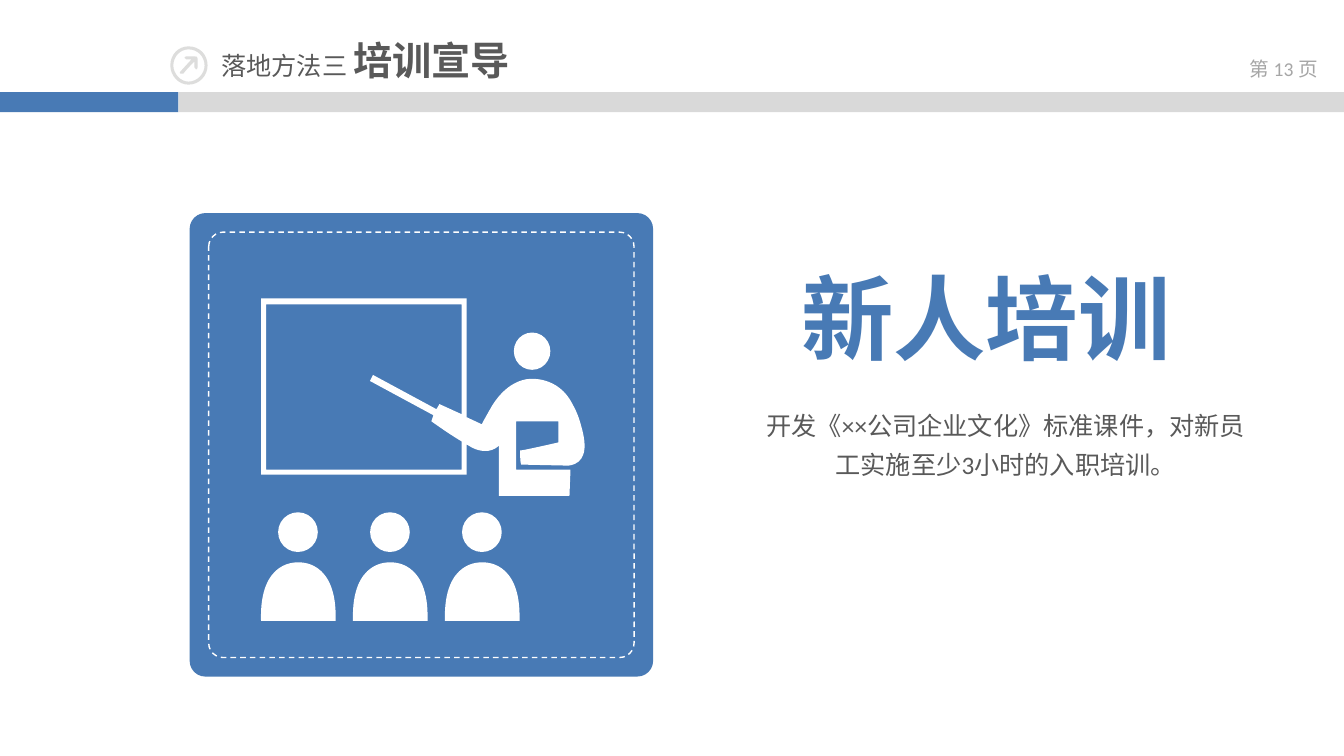
import lxml.etree
import pptx
import pptx.dml.color
import pptx.enum.dml
import pptx.enum.shapes
import pptx.enum.text
import pptx.oxml.ns
import pptx.util
from pptx.util import Cm

THEME = {
    "blue": "487AB5", "bar": "D9D9D9", "icon": "DDDDDC", "white": "FFFFFF",
    "text": "595959", "muted": "A6A6A6",
    "latin": "Calibri", "cjk": "Noto Sans CJK SC",
    "page": 14, "body": 18, "title": 28, "headline": 66,
}

# Content: runs are (text, size, bold, font)
PAGE_NUMBER = [("第 ", "page", False, "cjk"), ("13 ", "page", False, "latin"),
               ("页", "page", False, "cjk")]
TITLE = [("落地方法三 ", "body", False, "latin"), ("培训宣导", "title", True, "latin")]
HEADLINE = [("新人培训", "headline", True, "latin")]
BODY = [("开发《××公司企业文化》标准课件，对新员工实施至少3小时的入职培训。",
         "body", False, "latin")]

# Outlines in hundredths of an inch: two numbers make a line, six a Bezier curve
UNIT = Cm(0.0254)
RING = [
    [(187, 46), (198, 46, 206, 54, 206, 65), (206, 75, 198, 84, 187, 84),
     (177, 84, 169, 75, 169, 65), (169, 54, 177, 46, 187, 46)],
    [(187, 49), (196, 49, 203, 56, 203, 65), (203, 73, 196, 81, 187, 81),
     (179, 81, 172, 73, 172, 65), (172, 56, 179, 49, 187, 49)],
]
ARROW = [[(182, 73), (185, 69, 189, 65, 193, 61), (193, 67),
          (193, 69, 196, 70, 196, 67), (196, 58), (196, 56, 195, 56, 193, 56),
          (185, 56), (182, 56, 183, 59, 185, 59), (190, 59), (179, 71),
          (177, 73, 180, 74, 182, 73)]]
LISTENER = [[(333, 616), (335, 554, 296, 558, 296, 558),
             (296, 558, 257, 554, 259, 616)]]
TEACHER = [
    [(516, 447), (516, 450, 516, 458, 517, 461), (564, 462),
     (572, 461, 585, 456, 578, 428), (575, 416, 573, 410, 568, 401),
     (554, 373, 526, 376, 526, 376), (526, 376, 505, 375, 488, 403),
     (484, 410, 481, 415, 478, 421), (463, 414), (463, 296), (259, 296),
     (259, 471), (463, 471), (463, 441), (468, 444),
     (486, 453, 495, 442, 495, 442), (495, 492), (565, 492), (566, 466),
     (512, 466), (512, 418), (554, 418), (554, 439),
     (554, 439, 519, 447, 516, 447)],
    [(458, 466), (264, 466), (264, 302), (458, 302), (458, 411), (436, 401),
     (433, 406), (370, 372), (367, 378), (430, 412), (428, 418),
     (428, 418, 443, 429, 458, 438)],
]
LISTENERS, LISTENER_STEP = 3, 91.25

# Geometry in cm
SLIDE_W, SLIDE_H = 33.87, 19.05
BAR_TOP, BAR_H, BAR_SPLIT = 2.32, 0.51, 4.5
PANEL_LEFT, PANEL_TOP, PANEL_SIZE, PANEL_INSET = 4.78, 5.37, 11.68, 0.48
HEAD_LEFT, HEAD_TOP, HEAD_SIZE = 7.01, 12.91, 1.0

SHAPE = pptx.enum.shapes.MSO_SHAPE
CENTER = pptx.enum.text.PP_ALIGN.CENTER
qn = pptx.oxml.ns.qn


def rgb(name):
    return pptx.dml.color.RGBColor.from_string(THEME[name])


def paint(sp, color):
    sp.shadow.inherit = False
    sp.line.fill.background()
    if color:
        sp.fill.solid()
        sp.fill.fore_color.rgb = rgb(color)
    else:
        sp.fill.background()
    return sp


def add_preset(s, kind, color, x, y, w, h, adj=None):
    sp = paint(s.shapes.add_shape(kind, Cm(x), Cm(y), Cm(w), Cm(h)), color)
    if adj is not None:
        sp.adjustments[0] = adj
    return sp


def add_outline(s, contours, color, dx=0):
    builder = None
    for contour in contours:
        points = [((seg[-2] + dx) * UNIT, seg[-1] * UNIT) for seg in contour]
        if builder is None:
            builder = s.shapes.build_freeform(*points[0])
        else:
            builder.move_to(*points[0])
        builder.add_line_segments(points[1:], close=True)
    sp = builder.convert_to_shape()

    # Turn straight segments into Bezier curves where six numbers are given
    segments = [seg for contour in contours for seg in contour[1:]]
    for seg, line in zip(segments, list(sp._element.iter(qn("a:lnTo")))):
        if len(seg) == 6:
            curve = lxml.etree.Element(qn("a:cubicBezTo"))
            for x, y in zip(seg[::2], seg[1::2]):
                pt = lxml.etree.SubElement(curve, qn("a:pt"))
                pt.set("x", str(round((x + dx) * UNIT - sp.left)))
                pt.set("y", str(round(y * UNIT - sp.top)))
            line.getparent().replace(line, curve)
    return paint(sp, color)


def add_text(s, runs, color, x, y, w, h, align=None, wrap=True, spacing=None):
    tf = s.shapes.add_textbox(Cm(x), Cm(y), Cm(w), Cm(h)).text_frame
    tf.word_wrap = wrap
    p = tf.paragraphs[0]
    p.alignment, p.line_spacing = align, spacing
    p.font.color.rgb = rgb(color)
    for text, size, bold, font in runs:
        r = p.add_run()
        r.text = text
        r.font.size = pptx.util.Pt(THEME[size])
        r.font.bold = bold
        r.font.name = THEME[font]
        r.font.color.rgb = rgb(color)
        ea = lxml.etree.SubElement(r.font._element, qn("a:ea"))
        ea.set("typeface", THEME["cjk"])


prs = pptx.Presentation()
prs.slide_width, prs.slide_height = Cm(SLIDE_W), Cm(SLIDE_H)
s = prs.slides.add_slide(prs.slide_layouts[6])

# Header
add_preset(s, SHAPE.RECTANGLE, "blue", 0, BAR_TOP, BAR_SPLIT, BAR_H)
add_preset(s, SHAPE.RECTANGLE, "bar", BAR_SPLIT, BAR_TOP, SLIDE_W - BAR_SPLIT, BAR_H)
add_text(s, PAGE_NUMBER, "muted", 30.83, 1.3, 3.04, 1.02, CENTER)
add_outline(s, RING, "icon")
add_outline(s, ARROW, "icon")
add_text(s, TITLE, "text", 5.33, 0.79, 7.85, 1.45, wrap=False)

# Panel with dashed inner frame
add_preset(s, SHAPE.ROUNDED_RECTANGLE, "blue", PANEL_LEFT, PANEL_TOP,
           PANEL_SIZE, PANEL_SIZE, 0.034)
inner = PANEL_SIZE - 2 * PANEL_INSET
frame = add_preset(s, SHAPE.ROUNDED_RECTANGLE, None, PANEL_LEFT + PANEL_INSET,
                   PANEL_TOP + PANEL_INSET, inner, inner, 0.034)
frame.line.color.rgb = rgb("white")
frame.line.width = pptx.util.Pt(1)
frame.line.dash_style = pptx.enum.dml.MSO_LINE.DASH

# Message
add_text(s, HEADLINE, "blue", 19.89, 6.45, 9.91, 3.07, CENTER, wrap=False)
add_text(s, BODY, "text", 18.88, 9.99, 12.93, 2.18, CENTER, spacing=1.3)

# Listeners and teacher
for i in range(LISTENERS):
    dx = i * LISTENER_STEP
    add_outline(s, LISTENER, "white", dx)
    add_preset(s, SHAPE.OVAL, "white", HEAD_LEFT + dx * 0.0254, HEAD_TOP,
               HEAD_SIZE, HEAD_SIZE)
add_preset(s, SHAPE.OVAL, "white", 12.95, 8.38, 0.92, 0.94)
add_outline(s, TEACHER, "white")

prs.save("out.pptx")
